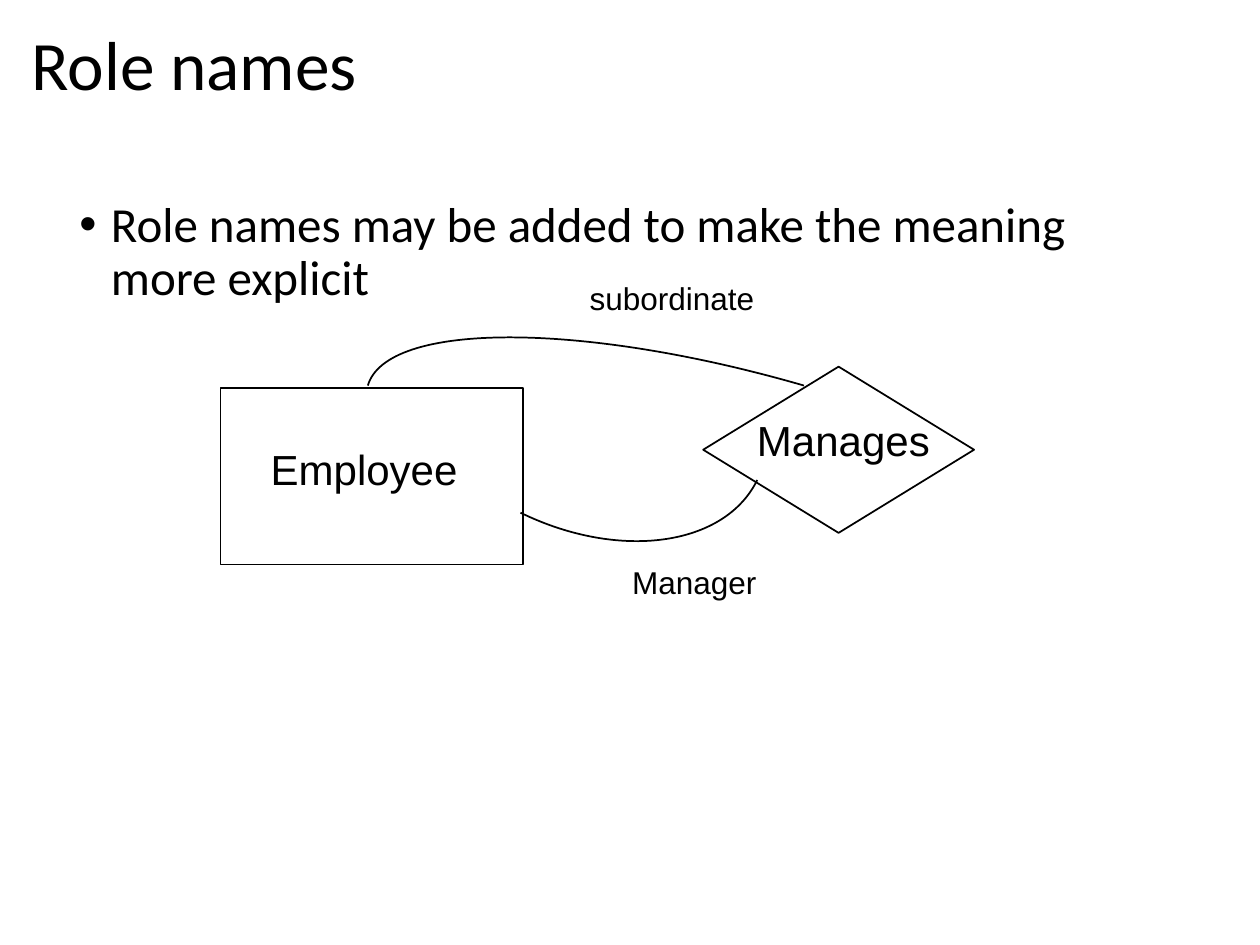
from lxml.etree import SubElement
from pptx import Presentation
from pptx.dml.color import RGBColor
from pptx.enum.shapes import MSO_SHAPE
from pptx.enum.text import MSO_ANCHOR
from pptx.oxml.ns import qn
from pptx.util import Pt


def color(value):
    """Turn a hex string into a colour."""
    return RGBColor.from_string(value)


class SlideBuilder:
    """Hold the style and the current slide."""

    ink = "000000"
    heading_font = "Calibri"
    label_font = "Arial"
    line_width = 1

    def __init__(self, slide):
        """Keep the slide that receives the elements."""
        self.slide = slide

    def text(self, box, words, size, font, margins=(7.2, 3.6, 7.2, 3.6), wrap=True):
        """Add a text box and return its frame and paragraph."""
        frame = self.slide.shapes.add_textbox(*map(Pt, box)).text_frame
        frame.word_wrap = wrap
        (frame.margin_left, frame.margin_top,
         frame.margin_right, frame.margin_bottom) = map(Pt, margins)
        paragraph = frame.paragraphs[0]
        paragraph.text = words
        paragraph.font.name = font
        paragraph.font.size = Pt(size)
        paragraph.font.color.rgb = color(self.ink)
        return frame, paragraph

    def title(self, box, words):
        """Add the slide title."""
        frame, paragraph = self.text(box, words, 39.6, self.heading_font, (0, 3.6, 7.2, 3.6))
        frame.vertical_anchor = MSO_ANCHOR.MIDDLE
        paragraph.line_spacing = 0.9

    def bullet(self, box, words):
        """Add a bulleted statement with a hanging indent."""
        paragraph = self.text(box, words, 28, self.heading_font, (0, 0, 7.2, 3.6))[1]
        paragraph.line_spacing = 0.9
        properties = paragraph._p.get_or_add_pPr()
        properties.set("marL", str(Pt(18)))
        properties.set("indent", str(-Pt(18)))
        bullet_font = SubElement(properties, qn("a:buFont"))
        bullet_font.set("typeface", "Arial")
        SubElement(properties, qn("a:buChar")).set("char", "•")
        default_run = properties.find(qn("a:defRPr"))
        if default_run is not None:
            properties.append(default_run)

    def label(self, box, words, size, wrap=True):
        """Add a diagram label."""
        self.text(box, words, size, self.label_font, wrap=wrap)

    def outline(self, shape):
        """Leave a shape unfilled with a thin line."""
        shape.shadow.inherit = False
        shape.fill.background()
        shape.line.color.rgb = color(self.ink)
        shape.line.width = Pt(self.line_width)

    def node(self, kind, box):
        """Add an outlined preset shape."""
        self.outline(self.slide.shapes.add_shape(kind, *map(Pt, box)))

    def curve(self, start, *controls_and_end):
        """Add an open cubic curve from start through two controls to its end."""
        builder = self.slide.shapes.build_freeform(*map(Pt, start))
        builder.add_line_segments(
            [tuple(map(Pt, point)) for point in controls_and_end], close=False)
        shape = builder.convert_to_shape()
        outline_path = shape._element.find(".//" + qn("a:path"))
        segments = outline_path.findall(qn("a:lnTo"))
        bezier = SubElement(outline_path, qn("a:cubicBezTo"))
        for segment in segments:
            bezier.append(segment.find(qn("a:pt")))
            outline_path.remove(segment)
        self.outline(shape)


def main():
    """Build the role names slide."""
    presentation = Presentation()
    presentation.slide_width, presentation.slide_height = Pt(720), Pt(540)
    slide = presentation.slides.add_slide(presentation.slide_layouts[6])
    builder = SlideBuilder(slide)

    builder.title((18, 18.7, 675.4, 40.3), "Role names")
    builder.bullet((45.4, 114.5, 620.6, 342.7),
                   "Role names may be added to make the meaning more explicit")
    builder.node(MSO_SHAPE.RECTANGLE, (126, 221.8, 172.8, 100.8))
    builder.node(MSO_SHAPE.DIAMOND, (401.8, 209.5, 154.8, 95))
    builder.curve((432.7, 274.3), (414, 312.5), (353.5, 320.4), (297.4, 293))
    builder.curve((210.2, 220.3), (221, 183.6), (332.6, 183.6), (459.4, 220.3))
    builder.label((147.6, 249.8, 121, 36), "Employee", 24, wrap=False)
    builder.label((425.5, 233.3, 113, 36), "Manages", 24, wrap=False)
    builder.label((354.2, 318.2, 102.2, 28.8), "Manager", 18)
    builder.label((329.8, 156.2, 113.8, 28.8), "subordinate", 18)

    presentation.save("out.pptx")


if __name__ == "__main__":
    main()
